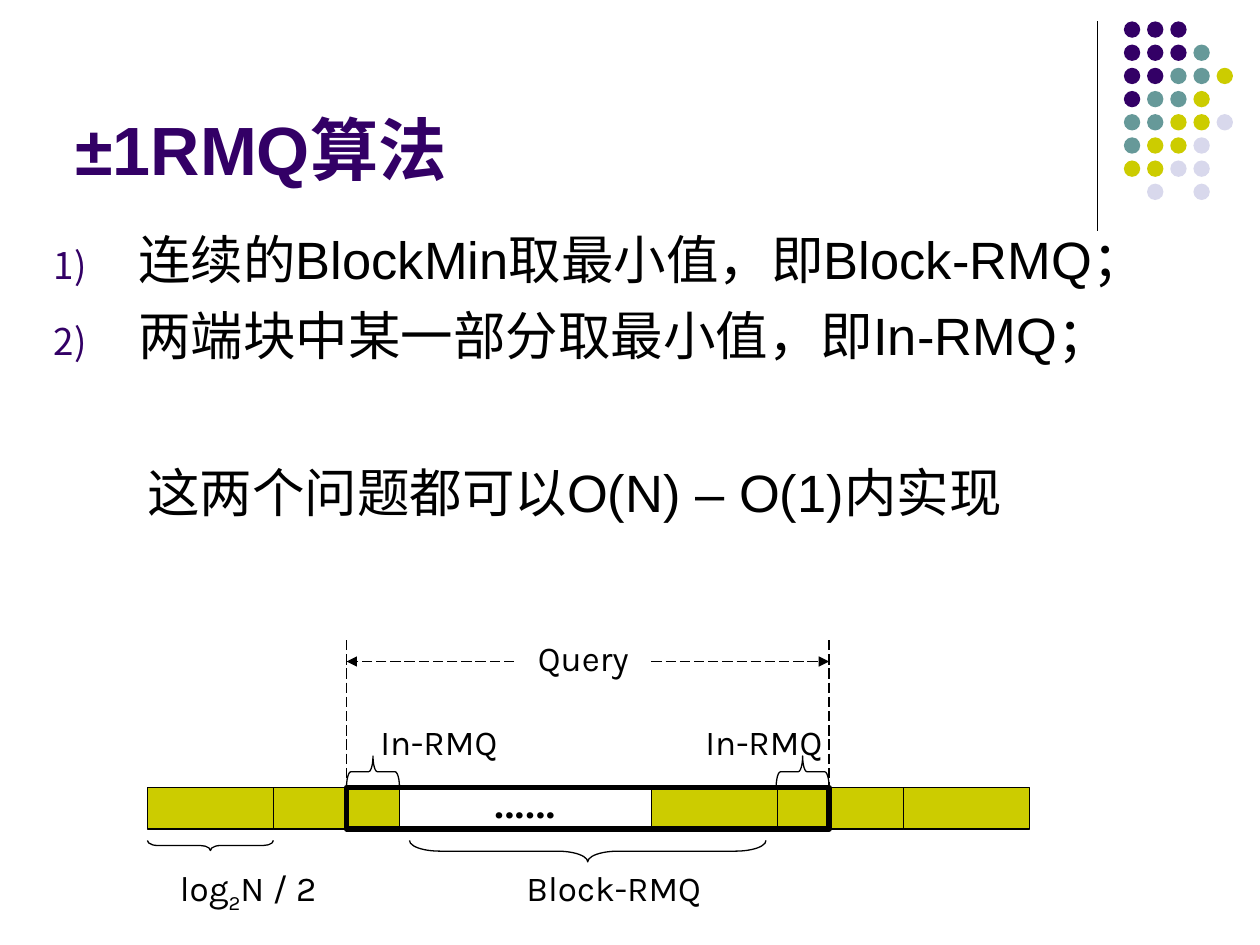
from lxml import etree
from pptx import Presentation
from pptx.dml.color import RGBColor
from pptx.enum.dml import MSO_LINE_DASH_STYLE as Dash
from pptx.enum.shapes import MSO_CONNECTOR as Connector, MSO_SHAPE as Shape
from pptx.enum.text import MSO_ANCHOR as Anchor
from pptx.oxml.ns import qn
from pptx.util import Inches, Pt

BLACK = RGBColor(0x00, 0x00, 0x00)
PURPLE = RGBColor(0x33, 0x00, 0x66)
TEAL = RGBColor(0x66, 0x99, 0x99)
OLIVE = RGBColor(0xCC, 0xCC, 0x00)
LAVENDER = RGBColor(0xD8, 0xD8, 0xEC)
THIN = 0.74


class Painter:
    """Holds the slide and draws each kind of element in its style."""

    def __init__(self, page):
        self.page = page

    def shape(self, kind, left, top, width, height, fill=None, line=THIN):
        shape = self.page.shapes.add_shape(
            kind, Inches(left), Inches(top), Inches(width), Inches(height))
        shape.shadow.inherit = False
        if fill is None:
            shape.fill.background()
        else:
            shape.fill.solid()
            shape.fill.fore_color.rgb = fill
        if line:
            shape.line.color.rgb = BLACK
            shape.line.width = Pt(line)
        else:
            shape.line.fill.background()
        return shape

    def brace(self, left, top, span, depth, curve, rotation):
        """A left brace turned to lie flat; left and top are as seen."""
        brace = self.shape(Shape.LEFT_BRACE, left + (span - depth) / 2,
                           top + (depth - span) / 2, depth, span)
        brace.rotation = rotation
        brace.adjustments[0] = curve

    def line(self, x1, y1, x2, y2, dashed=True, arrow=False):
        line = self.page.shapes.add_connector(
            Connector.STRAIGHT, Inches(x1), Inches(y1), Inches(x2), Inches(y2))
        line.line.color.rgb = BLACK
        line.line.width = Pt(THIN)
        if dashed:
            line.line.dash_style = Dash.LONG_DASH
        if arrow:
            etree.SubElement(line.line._ln, qn("a:tailEnd"), type="triangle")
        etree.SubElement(line._element.spPr, qn("a:effectLst"))

    def text(self, left, top, width, height, lines, size=20, font="Karla",
             color=BLACK, bold=False, before=0, anchor=Anchor.TOP):
        box = self.page.shapes.add_textbox(
            Inches(left), Inches(top), Inches(width), Inches(height))
        frame = box.text_frame
        frame.word_wrap = True
        frame.vertical_anchor = anchor
        frame.text = "\n".join(lines)
        for para in frame.paragraphs:
            para.space_before = Pt(before)
            para.font.name = font
            para.font.size = Pt(size)
            para.font.bold = bold
            para.font.color.rgb = color
        return frame

    def number(self, para, indent):
        """Purple automatic numbering with a hanging indent."""
        props = para._p.get_or_add_pPr()
        props.set("marL", str(Inches(indent)))
        props.set("indent", str(-Inches(indent)))
        marks = [etree.Element(qn("a:buClr")),
                 etree.Element(qn("a:buSzPct"), val="70000"),
                 etree.Element(qn("a:buAutoNum"), type="arabicParenR")]
        etree.SubElement(marks[0], qn("a:srgbClr"), val=str(PURPLE))
        # Bullet marks come after spacing and before the default run style
        style = props.find(qn("a:defRPr"))
        for mark in marks:
            if style is None:
                props.append(mark)
            else:
                style.addprevious(mark)


deck = Presentation()
deck.slide_width, deck.slide_height = Inches(10), Inches(7.5)
painter = Painter(deck.slides.add_slide(deck.slide_layouts[6]))

# Corner ornament
painter.line(8.71, 0.17, 8.71, 1.83, dashed=False)
DOT_COLORS = {"P": PURPLE, "T": TEAL, "O": OLIVE, "L": LAVENDER}
DOT_ROWS = ["PPP", "PPPT", "PPTTO", "PTTO", "TTOOL", "TOOL", "OOLL", ".L.L"]
DOT_PITCH = 0.184
for row, codes in enumerate(DOT_ROWS):
    for column, code in enumerate(codes):
        if code in DOT_COLORS:
            painter.shape(Shape.OVAL, 8.92 + column * DOT_PITCH,
                          0.17 + row * DOT_PITCH, 0.13, 0.13,
                          DOT_COLORS[code], line=None)

# Title and body
painter.text(0.5, 0.13, 8.25, 1.42, ["±1RMQ算法"], 39, "Arial", PURPLE,
             bold=True, anchor=Anchor.BOTTOM)
steps = painter.text(0.33, 1.75, 9.34, 1.42,
                     ["连续的BlockMin取最小值，即Block-RMQ；",
                      "两端块中某一部分取最小值，即In-RMQ；"],
                     30, "Arial", before=7.5)
for para in steps.paragraphs:
    painter.number(para, 0.67)
painter.text(1.07, 3.6, 7.47, 0.65, ["这两个问题都可以O(N) – O(1)内实现"],
             30, "Arial", before=7.5)

# Row of blocks, with a gap in the middle
BAR_TOP, BAR_HEIGHT = 6.25, 0.33
for y in (BAR_TOP, BAR_TOP + BAR_HEIGHT):
    painter.line(3.17, y, 5.17, y)
for left in (1.17, 2.17, 5.17, 6.17, 7.17):
    painter.shape(Shape.RECTANGLE, left, BAR_TOP, 1, BAR_HEIGHT, OLIVE)
painter.text(3.83, 6, 1.17, 0.64, ["……"], 32, before=20)

# Query range
QUERY_LEFT, QUERY_RIGHT = 2.75, 6.58
painter.shape(Shape.RECTANGLE, QUERY_LEFT, BAR_TOP, QUERY_RIGHT - QUERY_LEFT,
              BAR_HEIGHT, line=3)
for edge, start in ((QUERY_LEFT, 4.08), (QUERY_RIGHT, 5.17)):
    painter.line(edge, 5.08, edge, BAR_TOP)
    painter.line(start, 5.25, edge, 5.25, arrow=True)

# Braces
painter.brace(1.17, 6.67, 1, 0.08, 1, 270)
painter.brace(3.25, 6.67, 2.83, 0.17, 1.42, 270)
for left in (QUERY_LEFT, QUERY_RIGHT - 0.42):
    painter.brace(left, 6, 0.42, 0.25, 0.14, 90)

# Labels
for label, left, top in (("Query", 4.17, 5), ("In-RMQ", 2.92, 5.67),
                         ("In-RMQ", 5.5, 5.67), ("Block-RMQ", 4.08, 6.83)):
    painter.text(left, top, 1.83, 0.44, [label], before=12.5)
block_size = painter.text(1.33, 6.83, 1.83, 0.48, ["log"], before=12.5)
para = block_size.paragraphs[0]
for piece in ("2", "N / 2"):
    span = para.add_run()
    span.text = piece
    if piece == "2":
        span.font._element.set("baseline", "-25000")

deck.save("out.pptx")
